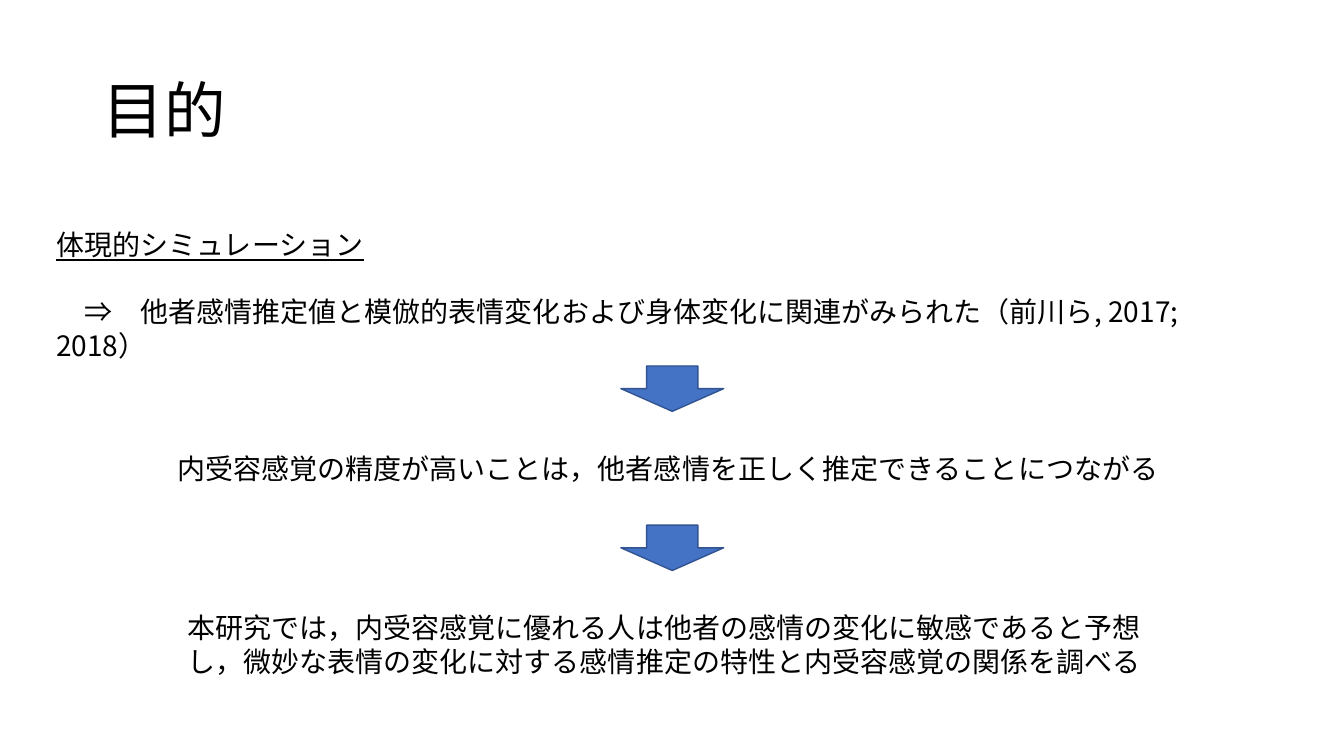
"""Build the slide on the aim of the study."""
from lxml.etree import SubElement
from pptx import Presentation
from pptx.dml.color import RGBColor as RGB
from pptx.enum.shapes import MSO_SHAPE as Shape
from pptx.enum.text import MSO_ANCHOR as Anchor, MSO_AUTO_SIZE as Fit, PP_ALIGN as Align
from pptx.oxml.ns import qn
from pptx.util import Pt

TITLE = ("目的", (66.2, 28.8, 828, 104.4))
NOTES = [
    ((33.1, 159.1, 894.2, 79.9), [
        ("体現的シミュレーション", {"underline": True}, 0, 0),
        ("⇒　他者感情推定値と模倣的表情変化および身体変化に関連がみられた（前川ら, 2017; 2018）",
         {}, 24, 20),
    ]),
    ((119.5, 319, 721.4, 31.7), [
        ("内受容感覚の精度が高いことは，他者感情を正しく推定できることにつながる", {}, 0, 0),
    ]),
    ((126.7, 432.7, 707, 55.4), [
        ("本研究では，内受容感覚に優れる人は他者の感情の変化に敏感であると予想し，"
         "微妙な表情の変化に対する感情推定の特性と内受容感覚の関係を調べる", {}, 0, 0),
    ]),
]
ARROWS = {"left": 443.5, "tops": (261.4, 375.1), "size": (73.4, 32.4)}
THEME = {
    "font": "Noto Sans CJK JP", "ink": RGB(0, 0, 0),
    "fill": RGB(0x44, 0x72, 0xC4), "edge": RGB(0x32, 0x54, 0x91),
    "title": 44, "body": 20, "line": 1,
}


def points(box):
    return [Pt(n) for n in box]


def assign(item, form):
    for key, value in form.items():
        setattr(item, key, value)


def write(para, text, size, form):
    run = para.add_run()
    run.text = text
    run.font.color.rgb = THEME["ink"]
    assign(run.font, {"name": THEME["font"], "size": Pt(size), **form})
    SubElement(run.font._element, qn("a:ea"), typeface=THEME["font"])


def add_title(slide):
    text, box = TITLE
    title = slide.shapes.title
    assign(title, dict(zip(("left", "top", "width", "height"), points(box))))
    frame = title.text_frame
    assign(frame, {"vertical_anchor": Anchor.MIDDLE, "auto_size": Fit.NONE, "word_wrap": True})
    para = frame.paragraphs[0]
    assign(para, {"alignment": Align.LEFT, "line_spacing": 0.9})
    write(para, text, THEME["title"], {})


def add_note(slide, box, lines):
    frame = slide.shapes.add_textbox(*points(box)).text_frame
    assign(frame, {"word_wrap": True, "margin_right": Pt(20 if len(lines) > 1 else 7.2)})
    for i, (text, form, gap, indent) in enumerate(lines):
        para = frame.add_paragraph() if i else frame.paragraphs[0]
        if gap:
            para.space_before = Pt(gap)
        if indent:
            assign_indent = para._p.get_or_add_pPr()
            assign_indent.set("marL", "0")
            assign_indent.set("indent", str(Pt(indent)))
        write(para, text, THEME["body"], form)


def add_arrow(slide, top):
    box = points((ARROWS["left"], top, *ARROWS["size"]))
    arrow = slide.shapes.add_shape(Shape.DOWN_ARROW, *box)
    arrow.shadow.inherit = False
    arrow.fill.solid()
    arrow.fill.fore_color.rgb = THEME["fill"]
    arrow.line.color.rgb = THEME["edge"]
    arrow.line.width = Pt(THEME["line"])


def main():
    deck = Presentation()
    assign(deck, {"slide_width": Pt(960), "slide_height": Pt(540)})
    slide = deck.slides.add_slide(deck.slide_layouts[5])
    add_title(slide)
    for box, lines in NOTES:
        add_note(slide, box, lines)
    for top in ARROWS["tops"]:
        add_arrow(slide, top)
    deck.save("out.pptx")


if __name__ == "__main__":
    main()
